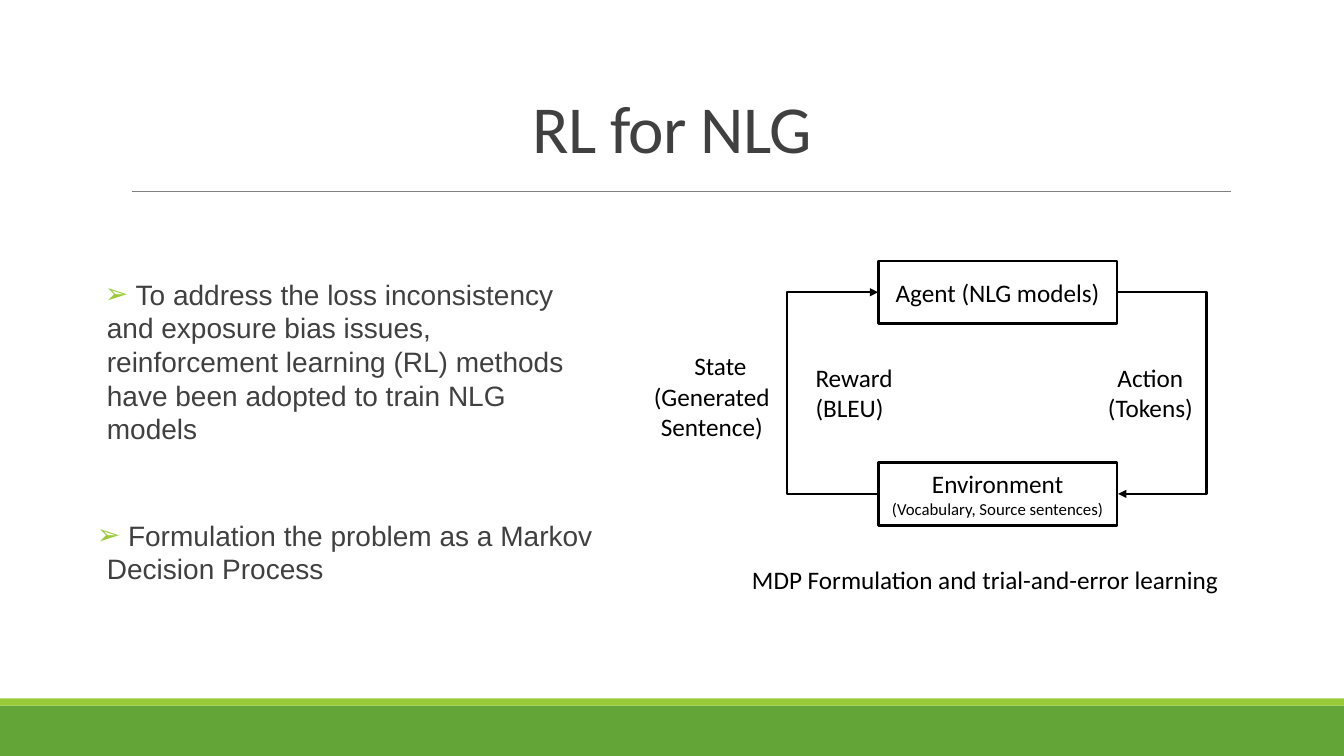
"""Build the slide on reinforcement learning for language generation."""
from dataclasses import dataclass

from lxml.etree import SubElement
from pptx import Presentation
from pptx.dml.color import RGBColor
from pptx.enum.shapes import MSO_CONNECTOR, MSO_SHAPE
from pptx.enum.text import MSO_ANCHOR, MSO_AUTO_SIZE, PP_ALIGN
from pptx.oxml.ns import qn
from pptx.util import Inches, Pt

BLACK = RGBColor(0x00, 0x00, 0x00)
DARK = RGBColor(0x40, 0x40, 0x40)
GREY = RGBColor(0x80, 0x80, 0x80)
GREEN = RGBColor(0x63, 0xA5, 0x37)
LIME = RGBColor(0x99, 0xCB, 0x38)
BOX_LEFT, BOX_WIDTH, BOX_HEIGHT = 8.71, 2.37, 0.62
AGENT_TOP, ENVIRONMENT_TOP = 2.59, 4.59


@dataclass
class Line:
    text: str
    size: float = 18
    margin: float = 0


@dataclass
class Point:
    text: str
    indent: float
    space_before: float


@dataclass
class Bar:
    top: float
    height: float
    color: RGBColor


@dataclass
class Node:
    top: float
    lines: list[Line]


@dataclass
class Label:
    left: float
    top: float
    width: float
    height: float
    lines: list[Line]
    align: PP_ALIGN = PP_ALIGN.LEFT
    wrap: bool = True


@dataclass
class Arrow:
    x1: float
    y1: float
    x2: float
    y2: float
    bend_x: float
    weight: float


BARS = [Bar(7, 0.5, GREEN), Bar(6.93, 0.07, LIME)]
POINTS = [
    Point(" To address the loss inconsistency and exposure bias issues, reinforcement "
          "learning (RL) methods have been adopted to train NLG models", -0.02, 0),
    Point(" Formulation the problem as a Markov Decision Process", -0.1, 50),
]
NODES = [
    Node(AGENT_TOP, [Line("Agent (NLG models)")]),
    Node(ENVIRONMENT_TOP, [Line("Environment"), Line("(Vocabulary, Source sentences)", 12)]),
]
LABELS = [
    Label(7.99, 3.54, 1.02, 0.71, [Line("Reward (BLEU)")]),
    Label(6.27, 3.43, 1.58, 1.01,
          [Line("State", margin=0.17), Line("(Generated"), Line("Sentence)")], PP_ALIGN.CENTER),
    Label(10.81, 3.54, 1.2, 0.71, [Line("Action"), Line("(Tokens)")], PP_ALIGN.CENTER),
    Label(7.36, 5.55, 4.88, 0.4,
          [Line("MDP Formulation and trial-and-error learning")], wrap=False),
]
ARROWS = [
    Arrow(11.08, 2.9, 11.09, 4.9, 11.98, 1.5),
    Arrow(8.72, 4.9, 8.71, 2.9, 7.79, 1.75),
]


def format_font(r, name: str, size: float, color: RGBColor) -> None:
    for key, value in {"name": name, "size": Pt(size)}.items():
        setattr(r.font, key, value)
    r.font.color.rgb = color


def write_lines(tf, lines: list[Line], align: PP_ALIGN) -> None:
    for i, line in enumerate(lines):
        p = tf.add_paragraph() if i else tf.paragraphs[0]
        p.alignment = align
        p._p.get_or_add_pPr().set("marL", str(Inches(line.margin)))
        r = p.add_run()
        r.text = line.text
        format_font(r, "Calibri", line.size, BLACK)


def place(sp, left: float, top: float, width: float, height: float) -> None:
    box = {"left": left, "top": top, "width": width, "height": height}
    for key, value in box.items():
        setattr(sp, key, Inches(value))


def add_title(s) -> None:
    sp = s.shapes.title
    place(sp, 5.18, 0.77, 3.22, 0.94)
    tf = sp.text_frame
    tf.auto_size = MSO_AUTO_SIZE.NONE
    tf.vertical_anchor = MSO_ANCHOR.BOTTOM
    p = tf.paragraphs[0]
    p.alignment, p.line_spacing = PP_ALIGN.LEFT, 0.85
    r = p.add_run()
    r.text = "RL for NLG"
    format_font(r, "Calibri", 48, DARK)
    r._r.get_or_add_rPr().set("spc", "-50")


def add_points(s) -> None:
    sp = s.placeholders[1]
    place(sp, 0.96, 2.6, 5.02, 3.36)
    tf = sp.text_frame
    frame = {"auto_size": MSO_AUTO_SIZE.NONE, "vertical_anchor": MSO_ANCHOR.MIDDLE,
             "margin_left": 0, "margin_right": Inches(0.05)}
    for key, value in frame.items():
        setattr(tf, key, value)
    for i, point in enumerate(POINTS):
        p = tf.add_paragraph() if i else tf.paragraphs[0]
        spacing = {"space_before": Pt(point.space_before), "space_after": Pt(2),
                   "line_spacing": 1.0}
        for key, value in spacing.items():
            setattr(p, key, value)
        pPr = p._p.get_or_add_pPr()
        pPr.set("marL", str(Inches(0.1)))
        pPr.set("indent", str(Inches(point.indent)))
        SubElement(SubElement(pPr, qn("a:buClr")), qn("a:srgbClr")).set("val", str(LIME))
        SubElement(pPr, qn("a:buChar")).set("char", "➢")
        r = p.add_run()
        r.text = point.text
        format_font(r, "Arial", 20, DARK)


def add_bar(s, bar: Bar) -> None:
    sp = s.shapes.add_shape(MSO_SHAPE.RECTANGLE, 0, Inches(bar.top),
                            Inches(13.33), Inches(bar.height))
    sp.shadow.inherit = False
    sp.fill.solid()
    sp.fill.fore_color.rgb = bar.color
    sp.line.fill.background()


def add_node(s, node: Node) -> None:
    sp = s.shapes.add_shape(MSO_SHAPE.RECTANGLE, Inches(BOX_LEFT), Inches(node.top),
                            Inches(BOX_WIDTH), Inches(BOX_HEIGHT))
    sp.shadow.inherit = False
    sp.fill.background()
    sp.line.color.rgb, sp.line.width = BLACK, Pt(2)
    sp.text_frame.word_wrap = True
    sp.text_frame.vertical_anchor = MSO_ANCHOR.MIDDLE
    write_lines(sp.text_frame, node.lines, PP_ALIGN.CENTER)


def add_label(s, label: Label) -> None:
    sp = s.shapes.add_textbox(Inches(label.left), Inches(label.top),
                              Inches(label.width), Inches(label.height))
    sp.text_frame.word_wrap = label.wrap
    write_lines(sp.text_frame, label.lines, label.align)


def add_line(s, kind: MSO_CONNECTOR, x1: float, y1: float, x2: float, y2: float,
             color: RGBColor, weight: float):
    cxn = s.shapes.add_connector(kind, Inches(x1), Inches(y1), Inches(x2), Inches(y2))
    cxn.line.color.rgb, cxn.line.width = color, Pt(weight)
    SubElement(cxn._element.spPr, qn("a:effectLst"))
    return cxn


def add_arrow(s, arrow: Arrow) -> None:
    cxn = add_line(s, MSO_CONNECTOR.ELBOW, arrow.x1, arrow.y1, arrow.x2, arrow.y2,
                   BLACK, arrow.weight)
    SubElement(cxn.line._get_or_add_ln(), qn("a:tailEnd")).set("type", "triangle")
    bend = round((arrow.bend_x - arrow.x1) / (arrow.x2 - arrow.x1) * 100000)
    guide = SubElement(cxn._element.spPr.find(qn("a:prstGeom")).find(qn("a:avLst")), qn("a:gd"))
    guide.set("name", "adj1")
    guide.set("fmla", f"val {bend}")


def main() -> None:
    prs = Presentation()
    prs.slide_width, prs.slide_height = Inches(13.33), Inches(7.5)
    s = prs.slides.add_slide(prs.slide_layouts[1])
    for draw, items in ((add_bar, BARS), (add_node, NODES),
                        (add_arrow, ARROWS), (add_label, LABELS)):
        for item in items:
            draw(s, item)
    add_line(s, MSO_CONNECTOR.STRAIGHT, 1.31, 1.9, 12.21, 1.9, GREY, 0.5)
    add_title(s)
    add_points(s)
    prs.save("out.pptx")


if __name__ == "__main__":
    main()
